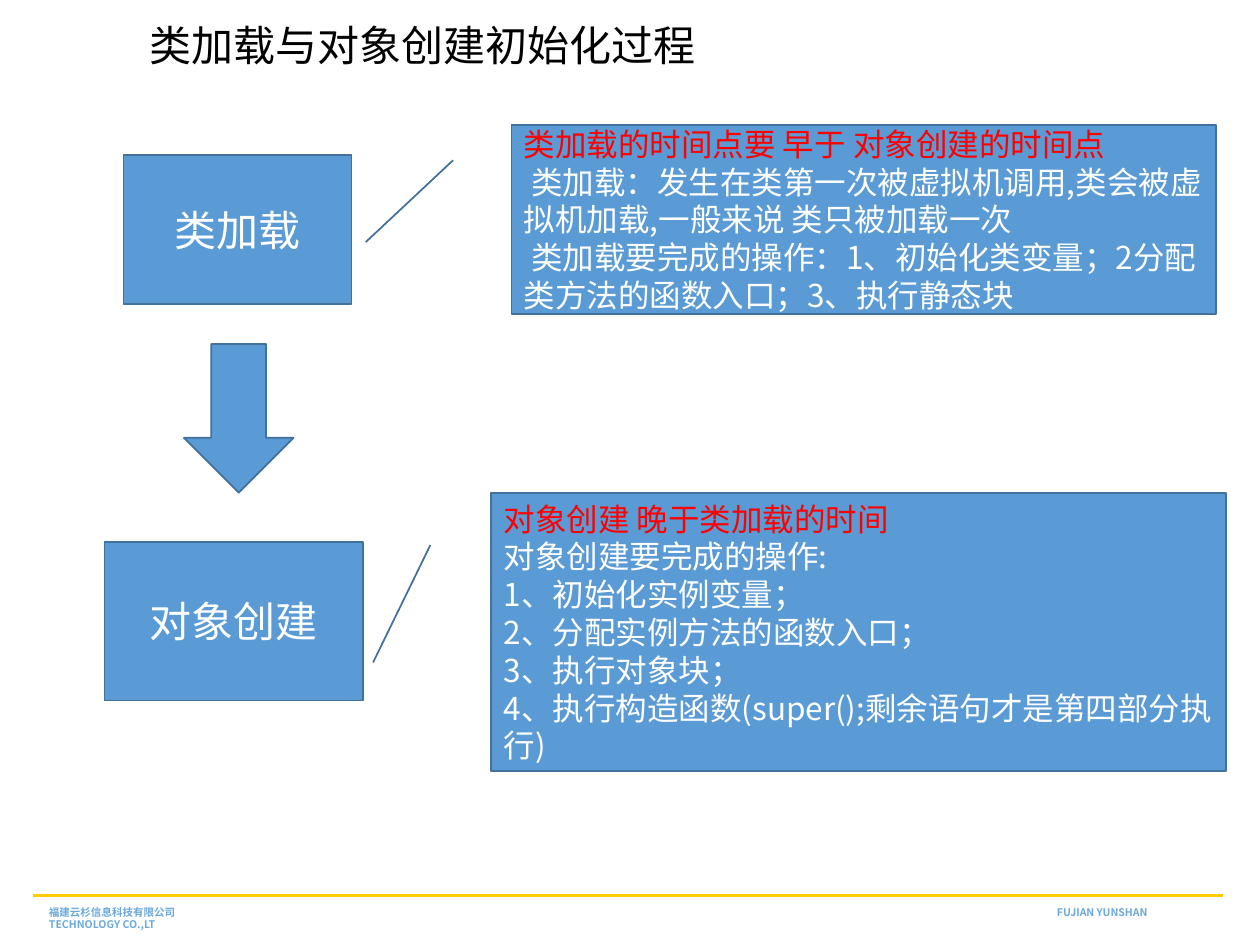
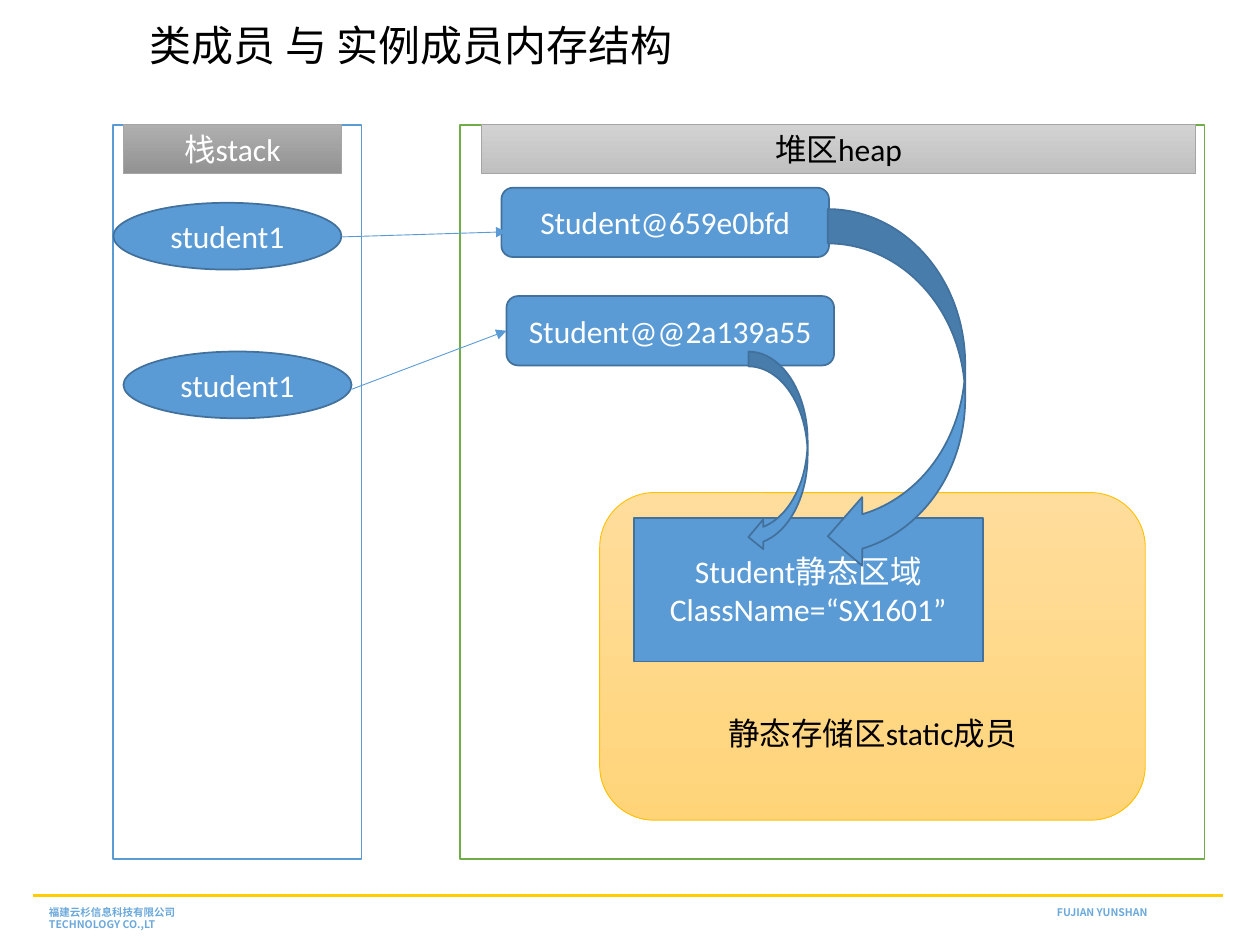
from dataclasses import dataclass

from lxml import etree
from pptx import Presentation
from pptx.dml.color import RGBColor
from pptx.enum.shapes import MSO_CONNECTOR, MSO_SHAPE
from pptx.enum.text import MSO_ANCHOR, PP_ALIGN
from pptx.oxml.ns import qn
from pptx.util import Inches, Pt

RECT = MSO_SHAPE.RECTANGLE
ROUNDED = MSO_SHAPE.ROUNDED_RECTANGLE
OVAL = MSO_SHAPE.OVAL
PROCESS = MSO_SHAPE.FLOWCHART_PROCESS
CALLOUT = MSO_SHAPE.LINE_CALLOUT_1
DOWN_ARROW = MSO_SHAPE.DOWN_ARROW
CURVED_ARROW = MSO_SHAPE.CURVED_LEFT_ARROW
STRAIGHT = MSO_CONNECTOR.STRAIGHT
LEFT, CENTER = PP_ALIGN.LEFT, PP_ALIGN.CENTER
TOP, MIDDLE = MSO_ANCHOR.TOP, MSO_ANCHOR.MIDDLE
LEFT_SIDE = 1

COLUMNS, ROWS = 100, 75


@dataclass(frozen=True)
class Theme:
    width: int = Inches(10)
    height: int = Inches(7.5)
    cjk: str = "Noto Sans CJK SC"
    latin: str = "Calibri"
    title_size: float = 24
    body_size: float = 18
    footer_size: float = 6
    thin: float = 0.5
    outline: float = 1
    rule: float = 1.75
    black: str = "000000"
    white: str = "FFFFFF"
    red: str = "FF0000"
    blue: str = "5B9BD5"
    blue_edge: str = "41719C"
    green: str = "70AD47"
    gold: str = "FFC000"
    gray: str = "A5A5A5"
    rule_gold: str = "FFCC00"
    footer_blue: str = "6BA9DB"
    static_fade: tuple = ("FFDD9C", "FFD479")
    heap_fade: tuple = ("D2D2D2", "C0C0C0")
    stack_fade: tuple = ("AFAFAF", "929292")


@dataclass(frozen=True)
class Line:
    """One paragraph; indent is the first-line offset in columns."""
    text: str
    color: str = Theme.white
    indent: float = 0


class Deck:
    def __init__(self, theme):
        self.theme = theme
        self.prs = Presentation()
        self.prs.slide_width, self.prs.slide_height = theme.width, theme.height
        self.slide = None

    def x(self, columns):
        return round(self.theme.width * columns / COLUMNS)

    def y(self, rows):
        return round(self.theme.height * rows / ROWS)

    def place(self, left, top, width, height):
        return self.x(left), self.y(top), self.x(width), self.y(height)

    def new_slide(self, title):
        t = self.theme
        self.slide = self.prs.slides.add_slide(self.prs.slide_layouts[6])
        self.line((2.6, 71.1), (97.1, 71.1), t.rule_gold, t.rule)
        footer = self.text_box(
            (2.9, 71.4, 94.1, 3),
            "福建云杉信息科技有限公司\tFUJIAN YUNSHAN TECHNOLOGY CO.,LT",
            t.footer_size, t.footer_blue, bold=True)
        self.tab_stop(footer, 80)
        heading = self.text_box((10.9, 1.5, 86.3, 5.7), title, t.title_size, t.black)
        heading.line_spacing = 0.9

    def tab_stop(self, paragraph, column):
        tabs = etree.SubElement(paragraph._p.get_or_add_pPr(), qn("a:tabLst"))
        etree.SubElement(tabs, qn("a:tab"), pos=str(self.x(column)), algn="l")

    def text_box(self, area, text, size, color, bold=False):
        """Add a one-paragraph box and return its paragraph."""
        frame = self.slide.shapes.add_textbox(*self.place(*area)).text_frame
        self.add_lines(frame, [Line(text, color)], size, self.theme.cjk, LEFT, TOP, bold)
        return frame.paragraphs[0]

    def add_lines(self, frame, lines, size, font, align, anchor, bold=False):
        frame.word_wrap = True
        frame.vertical_anchor = anchor
        for number, line in enumerate(lines):
            paragraph = frame.add_paragraph() if number else frame.paragraphs[0]
            paragraph.alignment = align
            if line.indent:
                props = paragraph._p.get_or_add_pPr()
                props.set("marL", "0")
                props.set("indent", str(self.x(line.indent)))
            run = paragraph.add_run()
            run.text = line.text
            run.font.size = Pt(size)
            run.font.bold = bold
            run.font.color.rgb = RGBColor.from_string(line.color)
            run.font.name = font
            etree.SubElement(run._r.get_or_add_rPr(), qn("a:ea"), typeface=self.theme.cjk)

    def shape(self, kind, area, fill=Theme.blue, edge=Theme.blue_edge,
              weight=Theme.outline, adjust=()):
        """Add a preset shape; a pair of fills makes a top-to-bottom gradient."""
        shape = self.slide.shapes.add_shape(kind, *self.place(*area))
        shape.shadow.inherit = False
        for number, value in enumerate(adjust):
            shape.adjustments[number] = value
        if isinstance(fill, tuple):
            shape.fill.gradient()
            shape.fill.gradient_angle = 270
            for stop, color in zip(shape.fill.gradient_stops, fill):
                stop.color.rgb = RGBColor.from_string(color)
        else:
            shape.fill.solid()
            shape.fill.fore_color.rgb = RGBColor.from_string(fill)
        shape.line.color.rgb = RGBColor.from_string(edge)
        shape.line.width = Pt(weight)
        return shape

    def label(self, kind, area, *lines, size=Theme.body_size, font=Theme.latin,
              align=CENTER, **style):
        shape = self.shape(kind, area, **style)
        self.add_lines(shape.text_frame, lines, size, font, align, MIDDLE)
        return shape

    def step(self, area, text):
        self.label(PROCESS, area, Line(text), size=self.theme.title_size,
                   font=self.theme.cjk)

    def callout(self, area, pointer_end, *lines):
        """pointer_end is (down, across) as shares of the callout's size."""
        self.label(CALLOUT, area, *lines, font=self.theme.cjk, align=LEFT,
                   adjust=(0.188, -0.083, *pointer_end))

    def line(self, start, end, color, weight):
        line = self.slide.shapes.add_connector(
            STRAIGHT, self.x(start[0]), self.y(start[1]), self.x(end[0]), self.y(end[1]))
        line.line.color.rgb = RGBColor.from_string(color)
        line.line.width = Pt(weight)
        etree.SubElement(line._element.spPr, qn("a:effectLst"))
        return line

    def arrow(self, start, end):
        arrow = self.line(start, end, self.theme.blue, self.theme.thin)
        outline = arrow._element.spPr.find(qn("a:ln"))
        etree.SubElement(outline, qn("a:tailEnd"), type="triangle")
        return arrow


def loading_slide(deck):
    red = deck.theme.red
    deck.new_slide("类加载与对象创建初始化过程")
    deck.step((9.8, 12.3, 18.1, 11.8), "类加载")
    deck.callout(
        (40.6, 9.9, 55.9, 15), (0.621, -0.207),
        Line("类加载的时间点要 早于 对象创建的时间点", red),
        Line("类加载：发生在类第一次被虚拟机调用,类会被虚拟机加载,一般来说 类只被加载一次",
             indent=0.6),
        Line("类加载要完成的操作：1、初始化类变量；2分配类方法的函数入口；3、执行静态块",
             indent=0.6))
    deck.shape(DOWN_ARROW, (14.6, 27.3, 8.7, 11.8))
    deck.step((8.3, 43, 20.5, 12.6), "对象创建")
    deck.callout(
        (39, 39.1, 58.3, 22.1), (0.61, -0.161),
        Line("对象创建 晚于类加载的时间", red),
        Line("对象创建要完成的操作:"),
        Line("1、初始化实例变量；"),
        Line("2、分配实例方法的函数入口；"),
        Line("3、执行对象块；"),
        Line("4、执行构造函数(super();剩余语句才是第四部分执行)"))


def memory_slide(deck):
    t = deck.theme
    region_top, region_height, header_height = 9.9, 58.3, 3.9
    deck.new_slide("类成员 与 实例成员内存结构")
    for left, width, edge in ((9, 19.7, t.blue), (36.5, 59.1, t.green)):
        deck.shape(RECT, (left, region_top, width, region_height), t.white, edge)

    instances = [deck.label(ROUNDED, (left, top, 26, 5.5), Line(name))
                 for left, top, name in ((39.8, 14.9, "Student@659e0bfd"),
                                         (40.2, 23.5, "Student@@2a139a55"))]
    for left, top in ((9, 16.1), (9.8, 27.9)):
        deck.label(OVAL, (left, top, 18.1, 5.3), Line("student1"))

    static_area = deck.label(
        ROUNDED, (47.6, 39.1, 43.3, 26), Line("静态存储区static成员", t.black),
        fill=t.static_fade, edge=t.gold, weight=t.thin)
    static_area.text_frame.margin_top = deck.y(12.7)
    deck.label(RECT, (50.3, 41.1, 27.7, 11.4),
               Line("Student静态区域"), Line("ClassName=“SX1601”"))

    deck.arrow((27.2, 18.8), (40.2, 18.4))
    second_reference = deck.arrow((27.9, 30.9), (40.2, 26.3))
    second_reference.end_connect(instances[1], LEFT_SIDE)
    for area in ((65.7, 16.6, 10.9, 28.7), (59.4, 27.9, 4.7, 15.9)):
        deck.shape(CURVED_ARROW, area)

    for left, width, name, color, fade in (
            (38.2, 56.7, "堆区heap", t.black, t.heap_fade),
            (9.8, 17.3, "栈stack", t.white, t.stack_fade)):
        deck.label(RECT, (left, region_top, width, header_height), Line(name, color),
                   fill=fade, edge=t.gray, weight=t.thin)


def main():
    deck = Deck(Theme())
    loading_slide(deck)
    memory_slide(deck)
    deck.prs.save("out.pptx")


if __name__ == "__main__":
    main()
